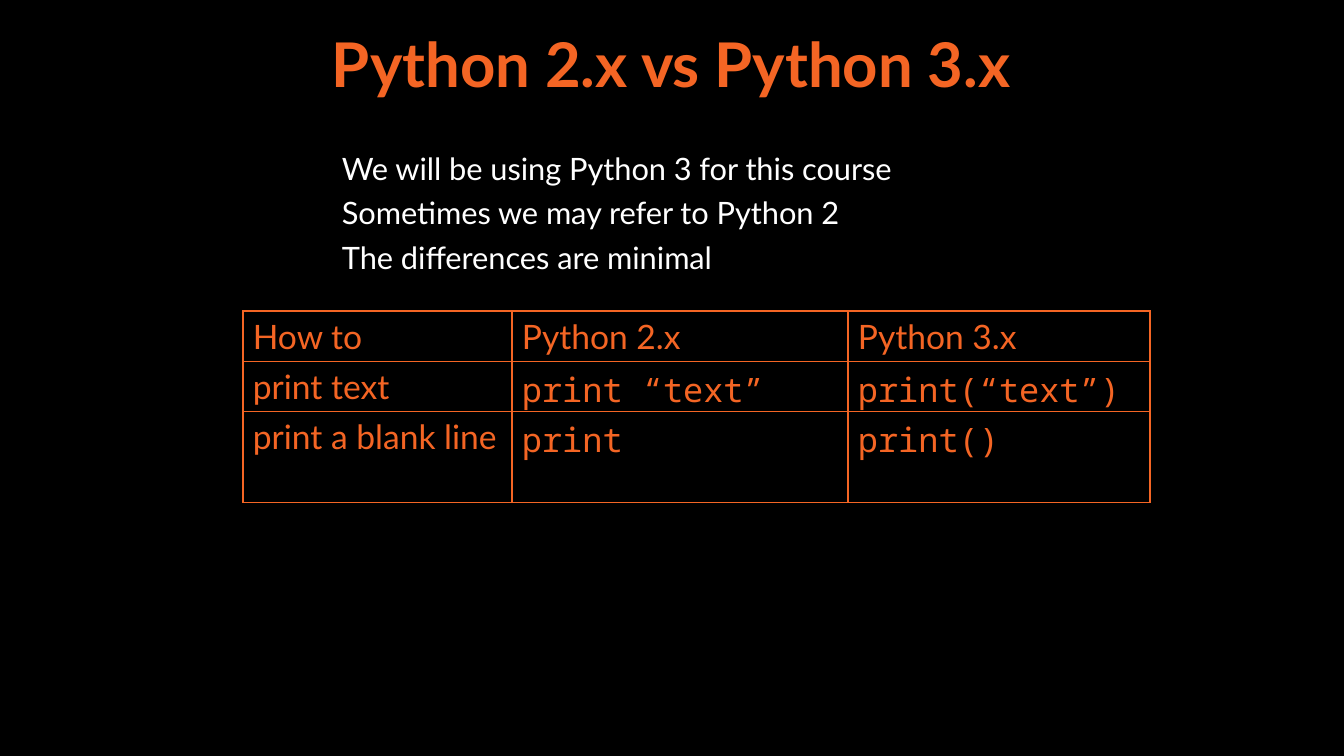
"""Build the slide that compares Python 2.x with Python 3.x."""
from dataclasses import dataclass

from lxml import etree
from pptx import Presentation, util as u
from pptx.dml.color import RGBColor
from pptx.enum import text
from pptx.oxml.ns import qn


@dataclass(frozen=True)
class Theme:
    background: str = "000000"
    accent: str = "F46524"
    body: str = "FFFFFF"
    sans: str = "Lato"
    mono: str = "Noto Sans Mono"
    title_size: float = 33
    body_size: float = 16.5
    table_size: float = 18
    body_gap: float = 4.1
    border: float = 1


def px(length):
    return u.Emu(round(length * 914400 / 134.4))


class Deck:
    def __init__(self, theme, width, height):
        self.theme = theme
        self.presentation = Presentation()
        self.presentation.slide_width = px(width)
        self.presentation.slide_height = px(height)
        self.slide = self.presentation.slides.add_slide(self.presentation.slide_layouts[6])
        fill = self.slide.background.fill
        fill.solid()
        fill.fore_color.rgb = RGBColor.from_string(theme.background)

    def run(self, paragraph, words, size, color, face, bold=False):
        run = paragraph.add_run()
        run.text = words
        run.font.name = face
        run.font.size = u.Pt(size)
        run.font.bold = bold
        run.font.color.rgb = RGBColor.from_string(color)

    def frame(self, left, top, width, height):
        frame = self.slide.shapes.add_textbox(px(left), px(top), px(width), px(height)).text_frame
        frame.word_wrap = True
        return frame

    def title(self, words, *place):
        frame = self.frame(*place)
        frame.vertical_anchor = text.MSO_ANCHOR.MIDDLE
        heading = frame.paragraphs[0]
        heading.alignment = text.PP_ALIGN.CENTER
        self.run(heading, words, self.theme.title_size, self.theme.accent, self.theme.sans, True)

    def statements(self, lines, indent, *place):
        frame = self.frame(*place)
        frame.margin_left = px(indent)
        for index, line in enumerate(lines):
            statement = frame.add_paragraph() if index else frame.paragraphs[0]
            if index:
                statement.space_before = u.Pt(self.theme.body_gap)
            self.run(statement, line, self.theme.body_size, self.theme.body, self.theme.sans)

    def outline(self, cell):
        properties = cell._tc.get_or_add_tcPr()
        for side in ("a:lnL", "a:lnR", "a:lnT", "a:lnB"):
            line = etree.SubElement(properties, qn(side), w=str(u.Pt(self.theme.border)))
            fill = etree.SubElement(line, qn("a:solidFill"))
            etree.SubElement(fill, qn("a:srgbClr"), val=self.theme.accent)

    def comparison(self, rows, left, top, widths, heights):
        table = self.slide.shapes.add_table(
            len(rows), len(widths), px(left), px(top), px(sum(widths)), px(sum(heights))).table
        table.first_row = table.horz_banding = False
        for column, width in zip(table.columns, widths):
            column.width = px(width)
        for row, height in zip(table.rows, heights):
            row.height = px(height)
        for r, entries in enumerate(rows):
            for c, words in enumerate(entries):
                cell = table.cell(r, c)
                cell.margin_left = cell.margin_right = px(10)
                cell.margin_top = cell.margin_bottom = px(5)
                self.outline(cell)
                cell.fill.background()
                face = self.theme.mono if r and c else self.theme.sans
                self.run(cell.text_frame.paragraphs[0], words,
                         self.theme.table_size, self.theme.accent, face)


def main():
    deck = Deck(Theme(), 1344, 756)
    deck.title("Python 2.x vs Python 3.x", 218, 0, 907, 126)
    deck.statements([
        "We will be using Python 3 for this course",
        "Sometimes we may refer to Python 2",
        "The differences are minimal",
    ], 140, 202, 143, 957, 546)
    deck.comparison([
        ("How to", "Python 2.x", "Python 3.x"),
        ("print text", "print “text”", "print(“text”)"),
        ("print a blank line", "print", "print()"),
    ], 243, 311, (269, 336, 302), (50, 50, 91))
    deck.presentation.save("out.pptx")


if __name__ == "__main__":
    main()
